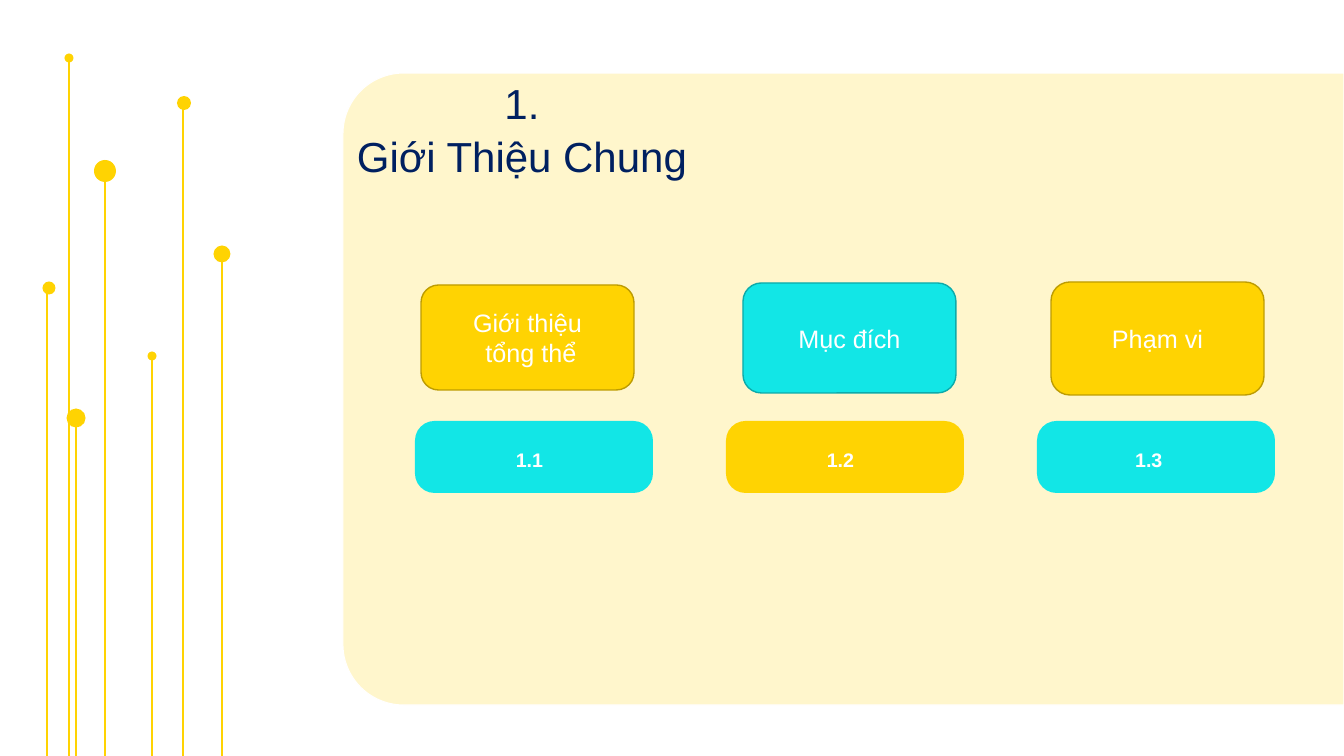
import dataclasses

import pptx
import pptx.dml.color
import pptx.enum.shapes
import pptx.enum.text
import pptx.oxml
import pptx.oxml.ns
import pptx.util

SHAPE = pptx.enum.shapes.MSO_SHAPE
ANCHOR = pptx.enum.text.MSO_ANCHOR
PX = 914400 / 100.8
WIDTH, HEIGHT = 1344, 756


@dataclasses.dataclass(frozen=True)
class Theme:
    yellow: str = "FFD302"
    cyan: str = "12E6E6"
    cream: str = "FFF6CC"
    white: str = "FFFFFF"
    navy: str = "002060"
    yellow_edge: str = "BD9C01"
    cyan_edge: str = "0DAAAA"
    font: str = "Arial"
    title_size: int = 30
    card_size: int = 18
    number_size: int = 14


def emu(*lengths):
    return [pptx.util.Emu(round(length * PX)) for length in lengths]


def rgb(value):
    return pptx.dml.color.RGBColor.from_string(value)


def write(shape, text, *, font, size, color, bold=False, anchor=ANCHOR.MIDDLE, spacing=None):
    """Fill a shape with centred text, one paragraph per line."""
    frame = shape.text_frame
    frame.text = text
    frame.word_wrap = True
    frame.auto_size = pptx.enum.text.MSO_AUTO_SIZE.NONE
    frame.vertical_anchor = anchor
    for paragraph in frame.paragraphs:
        paragraph.alignment = pptx.enum.text.PP_ALIGN.CENTER
        if spacing:
            paragraph.line_spacing = spacing
        paragraph.font.name = font
        paragraph.font.size = pptx.util.Pt(size)
        paragraph.font.bold = bold
        paragraph.font.color.rgb = rgb(color)


class SlideBuilder:
    def __init__(self, slide, theme):
        self.slide = slide
        self.theme = theme

    def shape(self, kind, box, fill, edge=None, edge_width=1, adjustments=()):
        shape = self.slide.shapes.add_shape(kind, *emu(*box))
        shape.shadow.inherit = False
        shape.fill.solid()
        shape.fill.fore_color.rgb = rgb(fill)
        if edge:
            shape.line.color.rgb = rgb(edge)
            shape.line.width = pptx.util.Pt(edge_width)
        else:
            shape.line.fill.background()
        for index, value in enumerate(adjustments):
            shape.adjustments[index] = value
        return shape

    def stem(self, line_x, dot_x, dot_y, diameter):
        """A vertical line from a dot down to the slide's bottom edge."""
        line = self.slide.shapes.add_connector(
            pptx.enum.shapes.MSO_CONNECTOR.STRAIGHT, *emu(line_x, dot_y, line_x, HEIGHT))
        line.line.color.rgb = rgb(self.theme.yellow)
        line.line.width = pptx.util.Pt(1.5)
        properties = line._element.spPr
        properties.append(pptx.oxml.parse_xml(
            f'<a:effectLst {pptx.oxml.ns.nsdecls("a")}/>'))
        radius = diameter / 2
        self.shape(SHAPE.OVAL, (dot_x - radius, dot_y - radius, diameter, diameter),
                   self.theme.yellow)

    def panel(self, left, top, width, height):
        """A panel rounded on its left side: a top-rounded shape turned by 270 degrees."""
        shift = (width - height) / 2
        panel = self.shape(SHAPE.ROUND_2_SAME_RECTANGLE,
                           (left + shift, top - shift, height, width), self.theme.cream,
                           self.theme.white, 0.75, adjustments=(0.096, 0))
        panel.rotation = 270

    def bar(self, left, top, color):
        self.shape(SHAPE.ROUNDED_RECTANGLE, (left, top, 238, 72), color, adjustments=(0.27,))

    def number(self, left, top, text):
        box = self.slide.shapes.add_textbox(*emu(left, top, 161, 25))
        write(box, text, font=self.theme.font, size=self.theme.number_size,
              color=self.theme.white, bold=True)

    def card(self, box, text, color, edge):
        card = self.shape(SHAPE.ROUNDED_RECTANGLE, box, color, edge)
        write(card, text, font=self.theme.font, size=self.theme.card_size,
              color=self.theme.white)

    def title(self, box, text):
        title = self.slide.shapes.title
        title.left, title.top, title.width, title.height = emu(*box)
        write(title, text, font=self.theme.font, size=self.theme.title_size,
              color=self.theme.navy, anchor=ANCHOR.TOP, spacing=1.05)
        # Bring the title in front of the panel
        self.slide.shapes._spTree.append(title._element)


def main():
    presentation = pptx.Presentation()
    presentation.slide_width, presentation.slide_height = emu(WIDTH, HEIGHT)
    slide = presentation.slides.add_slide(presentation.slide_layouts.get_by_name("Title Only"))
    theme = Theme()
    builder = SlideBuilder(slide, theme)

    # Stems: line x, dot centre x and y, dot diameter
    for stem in ((69, 69, 58, 9), (183, 184, 103, 14), (105, 105, 171, 22),
                 (222, 222, 254, 17), (47, 49, 288, 13), (152, 152, 356, 9),
                 (76, 76, 418, 19)):
        builder.stem(*stem)

    builder.panel(343, 73, 1001, 632)

    # Topics: a card above a numbered bar in the other colour
    yellow = (theme.yellow, theme.yellow_edge)
    cyan = (theme.cyan, theme.cyan_edge)
    topics = (
        ("1.1", "Giới thiệu\n tổng thể", (421, 285, 213, 105), yellow, theme.cyan),
        ("1.2", "Mục đích", (743, 283, 213, 110), cyan, theme.yellow),
        ("1.3 ", "Phạm vi", (1051, 282, 213, 113), yellow, theme.cyan),
    )
    for column, (number, text, box, colors, bar_color) in enumerate(topics):
        offset = 311 * column
        builder.bar(415 + offset, 421, bar_color)
        builder.number(449 + offset, 447, number)
        builder.card(box, text, *colors)

    builder.title((184, 70, 676, 112), "1.\nGiới Thiệu Chung")
    presentation.save("out.pptx")


if __name__ == "__main__":
    main()
